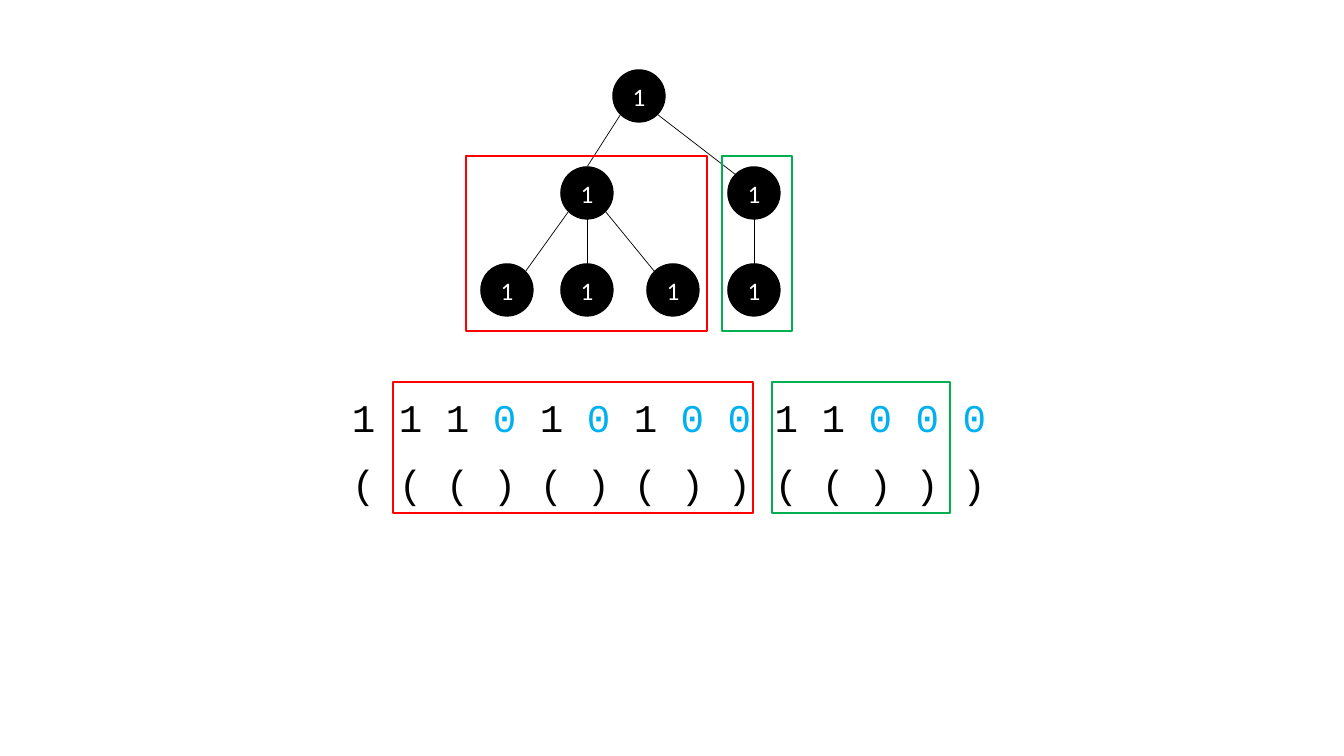
from itertools import groupby

from lxml import etree
from pptx import Presentation
from pptx import util as u
from pptx.dml.color import RGBColor
from pptx.enum import shapes, text
from pptx.oxml.ns import qn

# Content: each tree node has a left edge and a level; each edge joins two nodes
# from one compass point of the parent to another of the child.
NODES = {
    "root": (613, 0),
    "right": (728, 1),
    "left": (561, 1),
    "right leaf": (728, 2),
    "third leaf": (647, 2),
    "second leaf": (561, 2),
    "first leaf": (481, 2),
}
EDGES = [
    ("root", "SW", "left", "N"),
    ("root", "SE", "right", "NW"),
    ("left", "S", "second leaf", "N"),
    ("left", "SW", "first leaf", "NE"),
    ("left", "SE", "third leaf", "NW"),
    ("right", "S", "right leaf", "N"),
]
NODE_LABEL = "1"
BITS = "11101010011000"
BRACKETS = {"1": "(", "0": ")"}

# Frames: colour name, left, width
TREE_FRAMES = [("red", 466, 241), ("green", 722, 70)]
CODE_FRAMES = [("red", 393, 360), ("green", 772, 178)]

THEME = {
    "black": "000000", "white": "FFFFFF", "red": "FF0000",
    "green": "00B050", "blue": "00B0F0",
    "node font": "Calibri", "code font": "Courier New",
    "node size": 18, "code size": 28,
    "node line": 1, "edge line": 0.5, "frame line": 1.5,
}

# Layout in pixels
SCALE = 914400 / 100.8
SLIDE_WIDTH, SLIDE_HEIGHT = 1344, 756
NODE_SIZE, FIRST_LEVEL, LEVEL_PITCH = 52, 70, 97
TREE_FRAME_TOP, TREE_FRAME_HEIGHT = 156, 175
CODE_FRAME_TOP, CODE_FRAME_HEIGHT = 382, 131
CODE_LEFT, CODE_WIDTH, CODE_HEIGHT = 342, 659, 57
BITS_TOP, BRACKETS_TOP = 388, 454
DIAGONAL = 0.5 ** 0.5


def emu(*pixels):
    """Turn pixel lengths into EMU."""
    return [u.Emu(round(pixel * SCALE)) for pixel in pixels]


def color(name):
    """Look up a theme colour."""
    return RGBColor.from_string(THEME[name])


def add_run(paragraph, words, kind, color_name):
    """Add one run in the node or code type style."""
    run = paragraph.add_run()
    run.text = words
    run.font.name = THEME[kind + " font"]
    run.font.size = u.Pt(THEME[kind + " size"])
    run.font.color.rgb = color(color_name)


def add_outlined(group, preset, box, color_name, line):
    """Add an unfilled preset shape with a coloured outline."""
    shape = group.shapes.add_shape(preset, *emu(*box))
    shape.shadow.inherit = False
    shape.fill.background()
    shape.line.color.rgb = color(color_name)
    shape.line.width = u.Pt(THEME[line])
    return shape


def add_node(group, left, level):
    """Add a black circle with its label."""
    box = (left, FIRST_LEVEL + level * LEVEL_PITCH, NODE_SIZE, NODE_SIZE)
    shape = add_outlined(group, shapes.MSO_SHAPE.OVAL, box, "black", "node line")
    shape.fill.solid()
    shape.fill.fore_color.rgb = color("black")
    shape.text_frame.vertical_anchor = text.MSO_ANCHOR.MIDDLE
    paragraph = shape.text_frame.paragraphs[0]
    paragraph.alignment = text.PP_ALIGN.CENTER
    add_run(paragraph, NODE_LABEL, "node", "white")


def rim_point(name, compass):
    """Find the point of a node's rim in a compass direction."""
    left, level = NODES[name]
    radius = NODE_SIZE / 2
    reach = radius * (DIAGONAL if len(compass) == 2 else 1)
    across = ("E" in compass) - ("W" in compass)
    down = ("S" in compass) - ("N" in compass)
    return (left + radius + across * reach,
            FIRST_LEVEL + level * LEVEL_PITCH + radius + down * reach)


def add_edge(group, parent, parent_side, child, child_side):
    """Draw a thin line between two nodes."""
    ends = rim_point(parent, parent_side) + rim_point(child, child_side)
    connector = group.shapes.add_connector(
        shapes.MSO_CONNECTOR.STRAIGHT, *emu(*ends))
    connector.line.color.rgb = color("black")
    connector.line.width = u.Pt(THEME["edge line"])
    etree.SubElement(connector._element.spPr, qn("a:effectLst"))


def add_frames(group, frames, top, height):
    """Add the coloured frames around the subtrees."""
    for color_name, left, width in frames:
        add_outlined(group, shapes.MSO_SHAPE.RECTANGLE,
                     (left, top, width, height), color_name, "frame line")


def add_code_line(group, top, symbols, color_of):
    """Write spaced symbols, one run for each stretch of one colour."""
    box = group.shapes.add_textbox(*emu(CODE_LEFT, top, CODE_WIDTH, CODE_HEIGHT))
    box.text_frame.word_wrap = False
    box.text_frame.auto_size = text.MSO_AUTO_SIZE.SHAPE_TO_FIT_TEXT
    paragraph = box.text_frame.paragraphs[0]
    gap = ""
    for color_name, stretch in groupby(symbols, key=color_of):
        add_run(paragraph, gap + " ".join(stretch), "code", color_name)
        gap = " "


presentation = Presentation()
presentation.slide_width, presentation.slide_height = emu(SLIDE_WIDTH, SLIDE_HEIGHT)
slide = presentation.slides.add_slide(presentation.slide_layouts[6])

tree = slide.shapes.add_group_shape()
for left, level in NODES.values():
    add_node(tree, left, level)
for edge in EDGES:
    add_edge(tree, *edge)
add_frames(tree, TREE_FRAMES, TREE_FRAME_TOP, TREE_FRAME_HEIGHT)

code = slide.shapes.add_group_shape()
add_code_line(code, BITS_TOP, BITS, {"1": "black", "0": "blue"}.get)
add_code_line(code, BRACKETS_TOP, [BRACKETS[bit] for bit in BITS],
              lambda symbol: "black")
add_frames(code, CODE_FRAMES, CODE_FRAME_TOP, CODE_FRAME_HEIGHT)

presentation.save("out.pptx")
